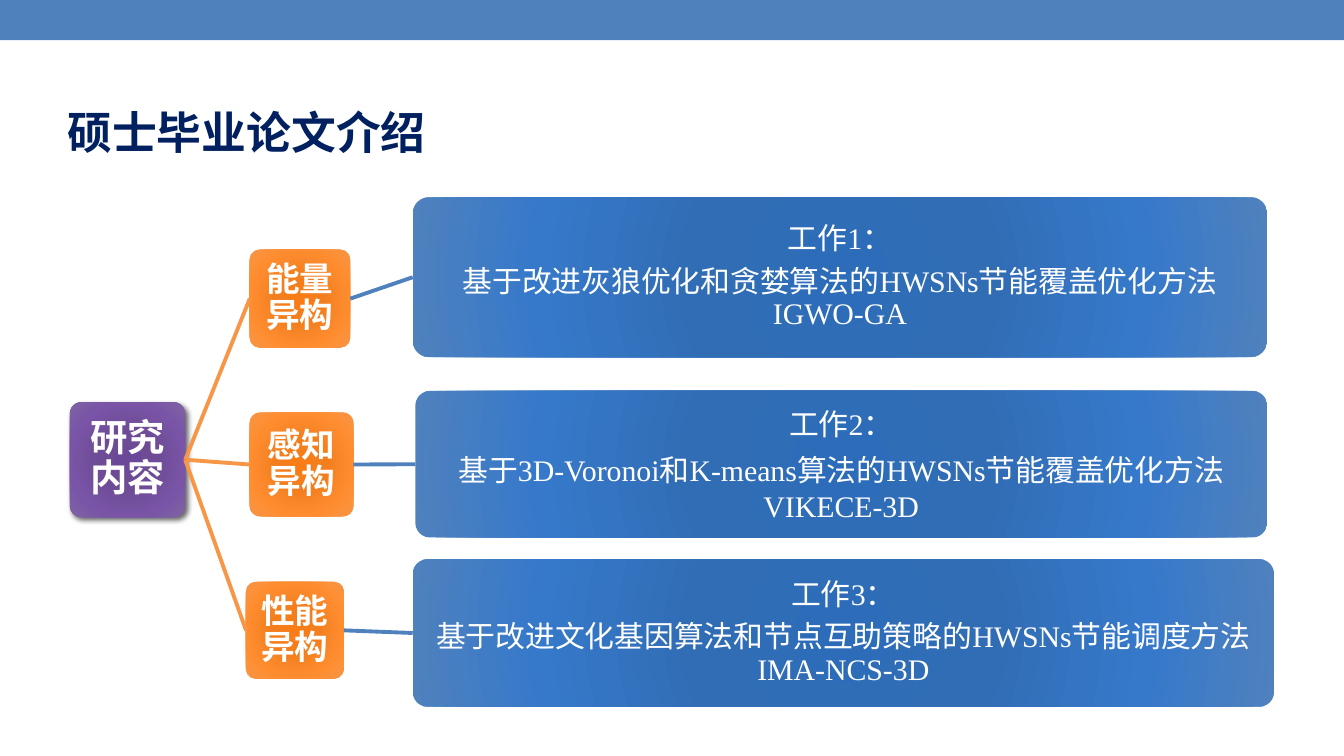
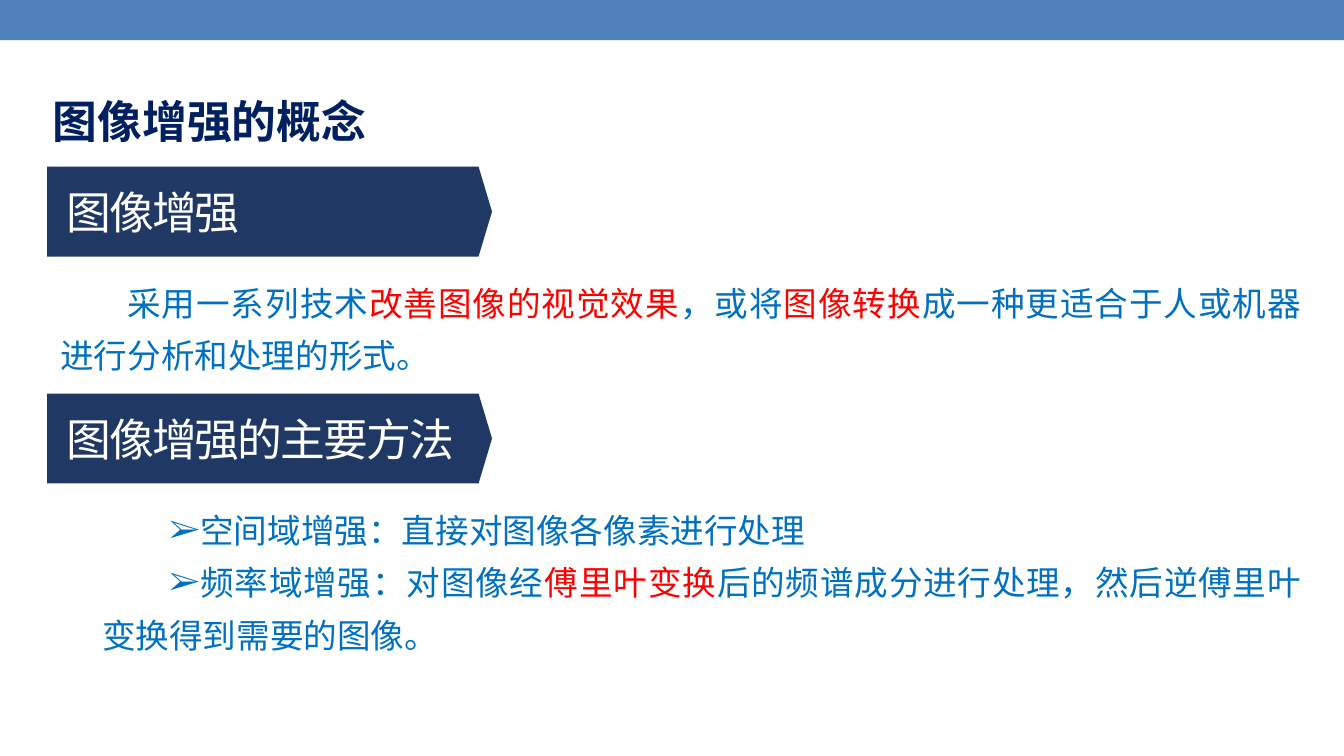
from lxml import etree
from pptx import Presentation
from pptx import util as u
from pptx.dml.color import RGBColor
from pptx.enum import shapes, text
from pptx.oxml import parse_xml
from pptx.oxml.ns import nsdecls, qn

# Shared colours and fonts
BLUE, ORANGE, NAVY, WHITE = "4F81BD", "F79646", "002060", "FFFFFF"
PLATE, BODY, RED = "203864", "0070C0", "FF0000"
LATIN_FONT, CHINESE_FONT = "Times New Roman", "Noto Sans CJK SC"

# Radial gradients: one colour for each stop, in percent
STOPS = (0, 34, 70, 100)
PURPLE_GLOW = ("6C4898", "6D4B95", "7954A7", "8064A2")
ORANGE_GLOW = ("F97D16", "F27E1E", "FF8D30", ORANGE)
BLUE_GLOW = ("2C6CB9", "316DB5", "3679CA", BLUE)

# Shared measures in centimetres
SLIDE_WIDTH, SLIDE_HEIGHT, BAND_HEIGHT = 25.4, 14.29, 0.76
CONTENT_LEFT, BODY_WIDTH = 0.89, 23.95
PLATE_WIDTH, PLATE_HEIGHT = 8.41, 1.7
BODY_GAP = 0.15  # from a plate to the text under it


def color(value):
    return RGBColor.from_string(value)


def cm(*values):
    return [u.Cm(value) for value in values]


class Deck:
    """Holds the style and the current slide."""

    def __init__(self):
        self.presentation = Presentation()
        self.presentation.slide_width, self.presentation.slide_height = cm(SLIDE_WIDTH, SLIDE_HEIGHT)
        self.layout = self.presentation.slide_layouts[5]
        self.slide = None

    def add_slide(self, title, left, top, width):
        self.slide = self.presentation.slides.add_slide(self.layout)
        shape = self.slide.shapes.title
        shape.left, shape.top, shape.width, shape.height = cm(left, top, width, 1.63)
        frame = shape.text_frame
        frame.text = title
        frame.vertical_anchor = text.MSO_ANCHOR.TOP
        frame.auto_size = text.MSO_AUTO_SIZE.SHAPE_TO_FIT_TEXT
        paragraph = frame.paragraphs[0]
        paragraph.alignment = text.PP_ALIGN.LEFT
        paragraph.line_spacing = 1.5
        self.format_run(paragraph.runs[0], 24, NAVY, bold=True, latin=CHINESE_FONT)

    def add_band(self):
        """Draw the top band and move it to the layout, so every slide shows it."""
        place = (0, 0, SLIDE_WIDTH, BAND_HEIGHT)
        band = self.shape(shapes.MSO_SHAPE.RECTANGLE, place, BLUE)
        band.element.xpath(".//p:cNvPr")[0].set("id", "99")
        self.layout.shapes.element.insert(2, band.element)

    def format_run(self, run, size, fill, bold=False, latin=LATIN_FONT):
        run.font.size = u.Pt(size)
        run.font.bold = bold
        run.font.color.rgb = color(fill)
        run.font.name = latin
        chinese = etree.Element(qn("a:ea"), typeface=CHINESE_FONT)
        run._r.get_or_add_rPr().find(qn("a:latin")).addnext(chinese)

    def shape(self, kind, place, fill=None):
        shape = self.slide.shapes.add_shape(kind, *cm(*place))
        shape.shadow.inherit = False
        shape.line.fill.background()
        if fill:
            shape.fill.solid()
            shape.fill.fore_color.rgb = color(fill)
        return shape

    def radial_fill(self, shape, glow):
        stops = "".join(
            f'<a:gs pos="{stop * 1000}"><a:srgbClr val="{value}"/></a:gs>'
            for stop, value in zip(STOPS, glow))
        gradient = parse_xml(
            f'<a:gradFill {nsdecls("a")} rotWithShape="1"><a:gsLst>{stops}</a:gsLst>'
            '<a:path path="circle"><a:fillToRect l="100000" t="100000" r="100000" b="100000"/>'
            '</a:path></a:gradFill>')
        shape.element.spPr.find(qn("a:prstGeom")).addnext(gradient)

    def drop_shadow(self, shape):
        shape.element.spPr.find(qn("a:effectLst")).append(parse_xml(
            f'<a:outerShdw {nsdecls("a")} blurRad="38100" dist="25400" dir="2700000">'
            '<a:srgbClr val="000000"><a:alpha val="60000"/></a:srgbClr></a:outerShdw>'))

    def card(self, lines, place, glow, size, bold=True, spacing=0.9):
        """Rounded box with a radial gradient and centred white text."""
        card = self.shape(shapes.MSO_SHAPE.ROUNDED_RECTANGLE, place)
        card.adjustments[0] = 0.1
        self.radial_fill(card, glow)
        frame = card.text_frame
        frame.text = "\n".join(lines)
        frame.word_wrap = True
        frame.vertical_anchor = text.MSO_ANCHOR.MIDDLE
        frame.margin_left = frame.margin_right = u.Cm(0.03)
        frame.margin_top = frame.margin_bottom = u.Cm(0.03)
        for paragraph in frame.paragraphs:
            paragraph.alignment = text.PP_ALIGN.CENTER
            paragraph.line_spacing = spacing
            paragraph.space_after = u.Pt(size * 0.35)
            self.format_run(paragraph.runs[0], size, WHITE, bold)
        return card

    def link(self, start, end, line_color):
        """Line from the right side of one card to the left side of the next."""
        right_side, left_side = 3, 1
        link = self.slide.shapes.add_connector(shapes.MSO_CONNECTOR.STRAIGHT, 0, 0, 0, 0)
        link.begin_connect(start, right_side)
        link.end_connect(end, left_side)
        link.line.color.rgb = color(line_color)
        link.line.width = u.Pt(2.08)
        etree.SubElement(link.element.spPr, qn("a:effectLst"))

    def plate(self, heading, top):
        """Dark arrow-shaped heading."""
        place = (CONTENT_LEFT, top, PLATE_WIDTH, PLATE_HEIGHT)
        plate = self.shape(shapes.MSO_SHAPE.PENTAGON, place, PLATE)
        plate.adjustments[0] = 0.15
        frame = plate.text_frame
        frame.text = heading
        frame.word_wrap = True
        frame.vertical_anchor = text.MSO_ANCHOR.MIDDLE
        frame.margin_left, frame.margin_right = cm(0.36, 0)
        paragraph = frame.paragraphs[0]
        paragraph.alignment = text.PP_ALIGN.LEFT
        run = paragraph.runs[0]
        self.format_run(run, 24, WHITE)
        run._r.get_or_add_rPr().set("spc", "-100")

    def body(self, paragraphs, top, height, margin=0, bullet=None):
        """Justified text; each paragraph is a list of (words, colour)."""
        box = self.slide.shapes.add_textbox(*cm(CONTENT_LEFT, top, BODY_WIDTH, height))
        frame = box.text_frame
        frame.word_wrap = True
        for index, parts in enumerate(paragraphs):
            paragraph = frame.add_paragraph() if index else frame.paragraphs[0]
            paragraph.alignment = text.PP_ALIGN.JUSTIFY
            paragraph.line_spacing = u.Pt(28)
            properties = paragraph._p.get_or_add_pPr()
            properties.set("marL", str(u.Cm(margin)))
            properties.set("indent", str(u.Cm(1.27)))
            if bullet:
                etree.SubElement(properties, qn("a:buFont"), typeface=LATIN_FONT)
                etree.SubElement(properties, qn("a:buChar"), char=bullet)
            for words, fill in parts:
                run = paragraph.add_run()
                run.text = words
                self.format_run(run, 18, fill)


def thesis_slide(deck):
    deck.add_slide("硕士毕业论文介绍", 1.02, 1.35, 7.87)
    deck.add_band()
    root = deck.card(["研究内容"], (1.32, 7.6, 2.18, 2.18), PURPLE_GLOW, 20)
    deck.drop_shadow(root)

    # Branches: topic and its place, work and its place, line spacing of the work
    branches = [
        ("能量异构", (4.72, 4.72, 1.9, 1.85),
         "基于改进灰狼优化和贪婪算法的HWSNs节能覆盖优化方法IGWO-GA",
         (7.8, 3.73, 16.15, 3.02), 0.9),
        ("感知异构", (4.72, 7.8, 1.96, 1.96),
         "基于3D-Voronoi和K-means算法的HWSNs节能覆盖优化方法VIKECE-3D",
         (7.85, 7.39, 16.1, 2.77), 1.0),
        ("性能异构", (4.65, 11, 1.85, 1.83),
         "基于改进文化基因算法和节点互助策略的HWSNs节能调度方法IMA-NCS-3D",
         (7.8, 10.57, 16.28, 2.79), 0.9),
    ]
    for number, (topic, topic_place, work, work_place, spacing) in enumerate(branches, 1):
        topic_card = deck.card([topic], topic_place, ORANGE_GLOW, 18)
        work_card = deck.card([f"工作{number}：", work], work_place, BLUE_GLOW, 16,
                              bold=False, spacing=spacing)
        deck.link(root, topic_card, ORANGE)
        deck.link(topic_card, work_card, BLUE)


def enhancement_slide(deck):
    deck.add_slide("图像增强的概念", 0.74, 1.14, 7.59)

    # Definition
    definition_top = 3.15
    definition = [
        [("采用一系列技术", BODY), ("改善图像的视觉效果", RED), ("，或将", BODY),
         ("图像转换", RED), ("成一种更适合于人或机器进行分析和处理的形式。", BODY)],
    ]
    deck.plate("图像增强", definition_top)
    deck.body(definition, definition_top + PLATE_HEIGHT + BODY_GAP, 2.2)

    # Methods
    methods_top = 7.44
    methods = [
        [("空间域增强：直接对图像各像素进行处理", BODY)],
        [("频率域增强：对图像经", BODY), ("傅里叶变换", RED),
         ("后的频谱成分进行处理，然后逆傅里叶变换得到需要的图像。", BODY)],
    ]
    deck.plate("图像增强的主要方法", methods_top)
    deck.body(methods, methods_top + PLATE_HEIGHT + BODY_GAP, 3.2, margin=0.79, bullet="➢")


def main():
    deck = Deck()
    thesis_slide(deck)
    enhancement_slide(deck)
    deck.presentation.save("out.pptx")


if __name__ == "__main__":
    main()
